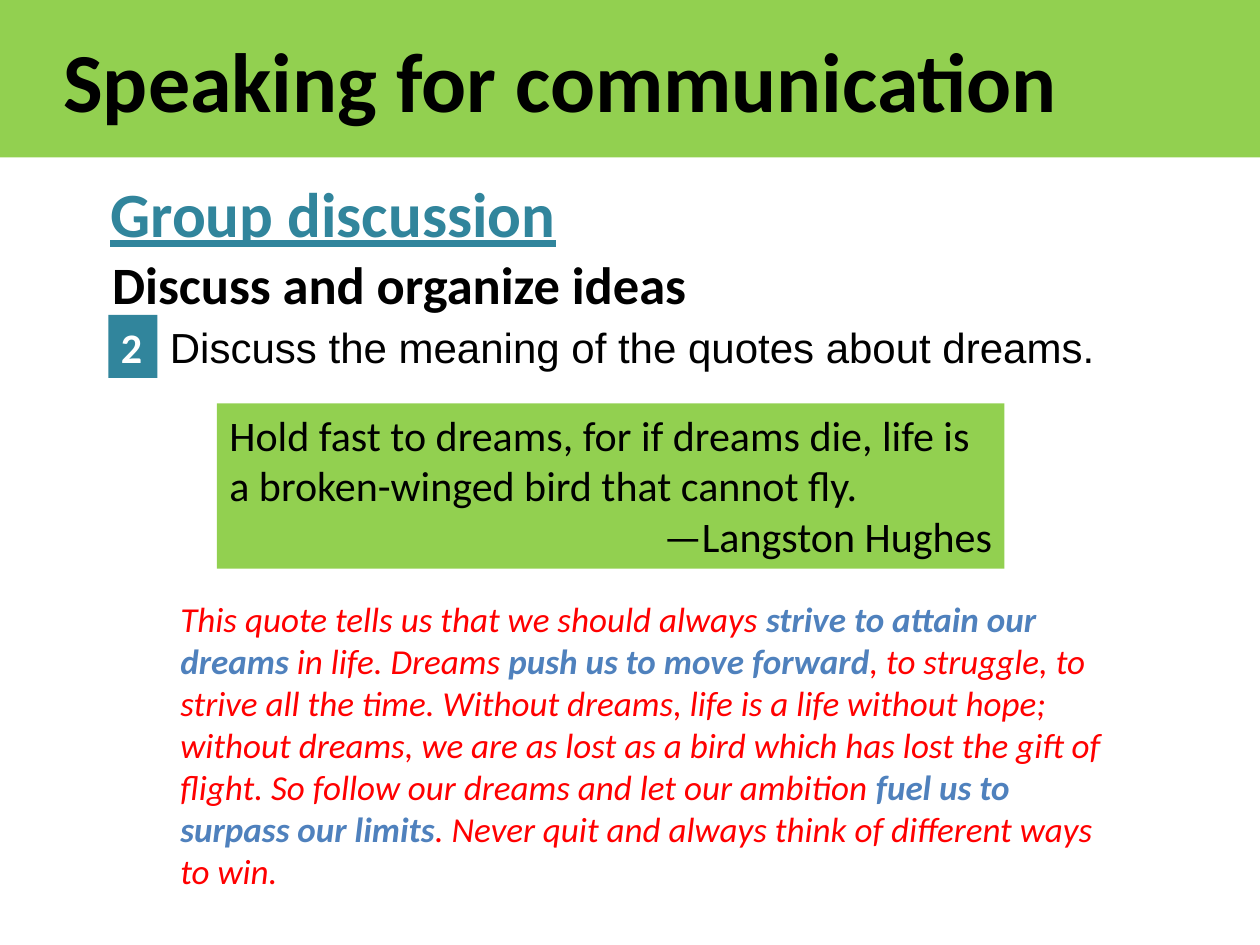
"""Build the 'Speaking for communication' group discussion slide."""
from lxml.etree import SubElement
from pptx import Presentation
from pptx.dml.color import RGBColor
from pptx.enum.shapes import MSO_SHAPE as SHAPE
from pptx.enum.text import MSO_ANCHOR as ANCHOR, MSO_AUTO_SIZE as FIT, PP_ALIGN as ALIGN
from pptx.oxml.ns import qn
from pptx.util import Pt

BLACK = RGBColor(0x00, 0x00, 0x00)
WHITE = RGBColor(0xFF, 0xFF, 0xFF)
GREEN = RGBColor(0x92, 0xD0, 0x50)
TEAL = RGBColor(0x31, 0x85, 0x9C)
AQUA = RGBColor(0x4B, 0xAC, 0xC6)
RED = RGBColor(0xFF, 0x00, 0x00)
BLUE = RGBColor(0x4F, 0x81, 0xBD)


class Deck:
    font = "Calibri"

    def __init__(self, width, height):
        self.prs = Presentation()
        self.prs.slide_width, self.prs.slide_height = Pt(width), Pt(height)
        self.s = self.prs.slides.add_slide(self.prs.slide_layouts[5])

    def run(self, p, text, size, color=BLACK, bold=False, italic=False, font=None):
        r = p.add_run()
        r.text = text
        f = r.font
        f.name, f.size, f.bold, f.italic = font or self.font, Pt(size), bold, italic
        f.color.rgb = color
        return r

    def title(self, text, box, size, indent):
        sp = self.s.shapes.title
        sp.left, sp.top, sp.width, sp.height = map(Pt, box)
        sp.fill.solid()
        sp.fill.fore_color.rgb = GREEN
        tf = sp.text_frame
        tf.auto_size, tf.vertical_anchor = FIT.NONE, ANCHOR.MIDDLE
        p = tf.paragraphs[0]
        p.alignment = ALIGN.LEFT
        p._p.get_or_add_pPr().set("indent", str(Pt(indent)))
        self.run(p, text, size, bold=True)

    def group(self):
        return self.s.shapes.add_group_shape().shapes

    def frame(self, sp, wrap=True):
        tf = sp.text_frame
        tf.word_wrap, tf.vertical_anchor, tf.auto_size = wrap, ANCHOR.TOP, FIT.SHAPE_TO_FIT_TEXT
        tf.paragraphs[0].alignment = ALIGN.LEFT
        return tf

    def text(self, box, wrap=True, parent=None):
        shapes = self.s.shapes if parent is None else parent
        return self.frame(shapes.add_textbox(*map(Pt, box)), wrap)

    def panel(self, box, color, parent=None):
        shapes = self.s.shapes if parent is None else parent
        sp = shapes.add_shape(SHAPE.RECTANGLE, *map(Pt, box))
        sp.shadow.inherit = False
        sp.fill.solid()
        sp.fill.fore_color.rgb = color
        sp.line.fill.background()
        return self.frame(sp)

    def outline(self, r, color, width):
        rPr = r._r.get_or_add_rPr()
        ln = SubElement(rPr, qn("a:ln"), w=str(Pt(width)))
        SubElement(SubElement(ln, qn("a:solidFill")), qn("a:srgbClr"), val=str(color))
        rPr.insert(0, ln)


def main():
    deck = Deck(720, 540)
    deck.title("Speaking for communication", (0, 0, 720, 90), 48, 29)

    tf = deck.text((56, 96, 272, 51), wrap=False)
    r = deck.run(tf.paragraphs[0], "Group discussion", 36, TEAL, bold=True)
    r.font.underline = True
    deck.outline(r, AQUA, 0.75)

    task = deck.group()
    tf = deck.panel((62, 180, 28, 36), TEAL, task)
    deck.run(tf.paragraphs[0], "2", 24, WHITE, bold=True)
    tf = deck.text((90, 180, 574, 36), parent=task)
    deck.run(tf.paragraphs[0], "Discuss the meaning of the quotes about dreams.", 24, font="Arial")

    tf = deck.text((57, 140.5, 370, 44))
    deck.run(tf.paragraphs[0], "Discuss and organize ideas", 30, bold=True)

    tf = deck.panel((124, 230.5, 450, 94.5), GREEN)
    deck.run(tf.paragraphs[0], "Hold fast to dreams, for if dreams die, life is "
             "a broken-winged bird that cannot fly.", 24)
    p = tf.add_paragraph()
    p.alignment = ALIGN.RIGHT
    deck.run(p, "—Langston Hughes", 24)

    answer = [
        ("This quote tells us that we should always ", False),
        ("strive to attain our dreams", True),
        (" in life. Dreams ", False),
        ("push us to move forward", True),
        (", to struggle, to strive all the time. Without dreams, life is a life "
         "without hope; without dreams, we are as lost as a bird which has lost "
         "the gift of flight. So follow our dreams and let our ambition ", False),
        ("fuel us to surpass our limits", True),
        (". Never quit and always think of different ways to win.", False),
    ]
    p = deck.text((96, 338, 546, 177)).paragraphs[0]
    for text, key in answer:
        deck.run(p, text, 20, BLUE if key else RED, bold=key, italic=True)

    deck.prs.save("out.pptx")


if __name__ == "__main__":
    main()
